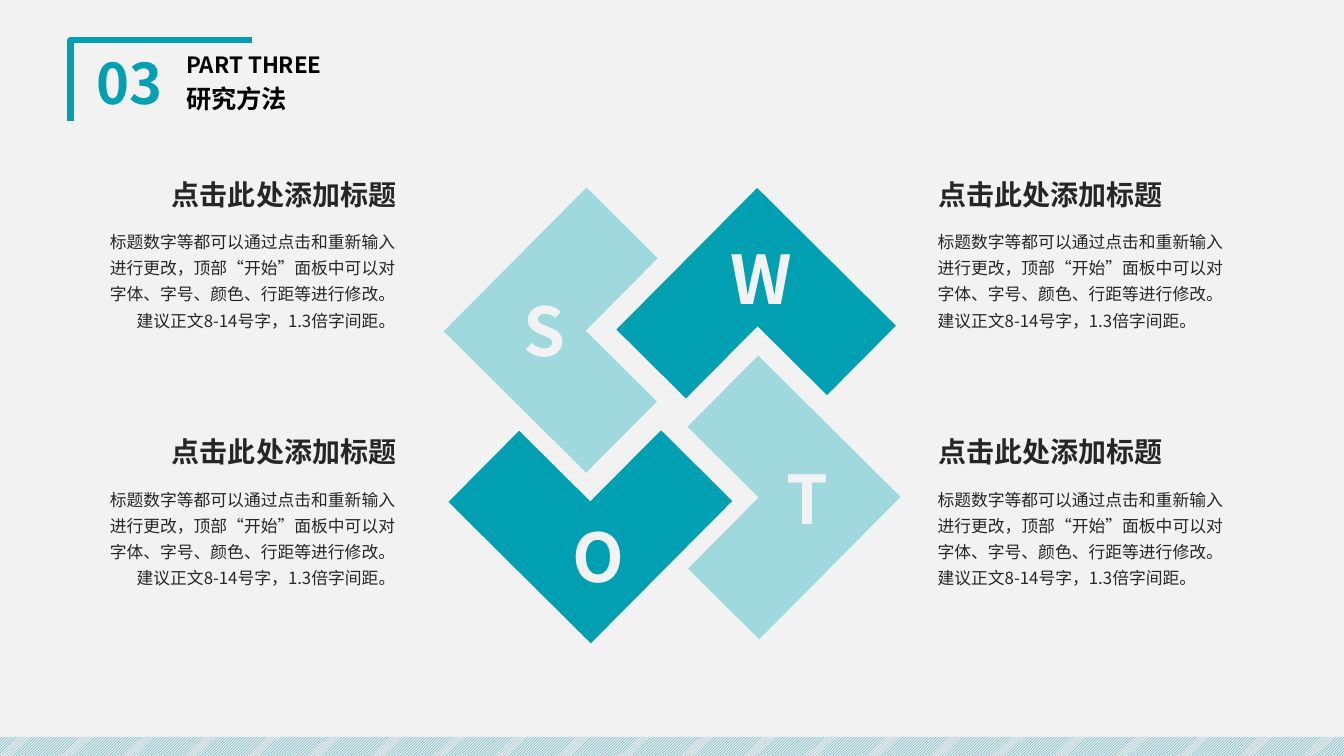
from pptx import Presentation, util as u
from pptx.dml.color import RGBColor
from pptx.enum import dml, shapes, text
from pptx.oxml.ns import qn

# Content
HEAD = "点击此处添加标题"
BODY = ("标题数字等都可以通过点击和重新输入进行更改，顶部“开始”面板中可以对"
        "字体、字号、颜色、行距等进行修改。建议正文8-14号字，1.3倍字间距。")

# Theme: colours and type sizes
THEME = dict(
    font="Noto Sans CJK SC", paper="F2F2F2", teal="009FB1", pale="9FD9DE",
    grey="E9E9E9", ink="262626", black="000000",
    num=40, part=16, name=18, mark=48, head=20, body=12)

# Layout on a grid of 133.3 columns by 75 rows: left, top, width, height
COLS, ROWS = 133.3, 75
TITLES = [("03", "num", "teal", "c", (8.2, 4.9, 9.3, 7.3)),
          ("PART THREE", "part", "black", "l", (17.5, 4.9, 26.7, 3.4)),
          ("研究方法", "name", "black", "l", (17.5, 7.8, 26.7, 4.4))]
# Letter, fill, corner box, letter box; each corner is a quarter turn on
SWOT = [("S", "pale", (48.2, 22.7, 19.9, 20.1), (50.9, 28.2, 6.1, 9.1)),
        ("W", "teal", (65.1, 22.8, 19.8, 19.4), (70.9, 23.1, 9.3, 9.1)),
        ("T", "pale", (65.3, 39.4, 19.9, 19.9), (77, 44.9, 6.2, 9.1)),
        ("O", "teal", (48.6, 39.8, 19.9, 19.9), (55.6, 50.6, 7.5, 9.1))]
TURN = 44.8
# Alignment, head left and width, body left and width
SIDES = [("r", 15.8, 24.5, 9.8, 30.4), ("l", 92.1, 24.5, 92, 30.8)]
TOP, STEP, DROP = 17.1, 25.55, 4.8

ALIGN = dict(l=text.PP_ALIGN.LEFT, c=text.PP_ALIGN.CENTER,
             r=text.PP_ALIGN.RIGHT)

deck = Presentation()
deck.slide_width, deck.slide_height = u.Inches(13.33), u.Inches(7.5)
slide = deck.slides.add_slide(deck.slide_layouts[6])
cell = deck.slide_height / ROWS


def tone(key):
    return RGBColor.from_string(THEME[key])


def place(box):
    return [round(n * cell) for n in box]


def block(kind, box, fill):
    item = slide.shapes.add_shape(kind, *place(box))
    item.shadow.inherit = False
    item.line.fill.background()
    item.fill.solid()
    item.fill.fore_color.rgb = tone(fill)
    return item


def write(words, size, color, side, box, bold=True, wrap=True, grow=True,
          lead=None, before=None):
    frame = slide.shapes.add_textbox(*place(box)).text_frame
    frame.word_wrap = wrap
    if grow:
        frame.auto_size = text.MSO_AUTO_SIZE.SHAPE_TO_FIT_TEXT
    else:
        frame.vertical_anchor = text.MSO_ANCHOR.MIDDLE
    frame.text = words
    para = frame.paragraphs[0]
    para.alignment = ALIGN[side]
    if lead:
        para.line_spacing = lead
    if before:
        para.space_before = u.Pt(before)
    font = para.runs[0].font
    font.name, font.size, font.bold = THEME["font"], u.Pt(THEME[size]), bold
    font.color.rgb = tone(color)
    # East Asian typeface
    east = font._element.makeelement(qn("a:ea"), {"typeface": THEME["font"]})
    font._element.find(qn("a:latin")).addnext(east)


# Background, corner rule and hatched foot
slide.background.fill.solid()
slide.background.fill.fore_color.rgb = tone("paper")
path = slide.shapes.build_freeform(7.2, 11.7, scale=cell)
path.add_line_segments([(7.2, 4), (24.8, 4)], close=False)
rule = path.convert_to_shape()
rule.shadow.inherit = False
rule.fill.background()
rule.line.color.rgb = tone("teal")
rule.line.width = u.Pt(4.5)

foot = block(shapes.MSO_SHAPE.RECTANGLE, (0, 73.1, COLS, ROWS - 73.1), "grey")
foot.fill.patterned()
foot.fill.pattern = dml.MSO_PATTERN.LIGHT_UPWARD_DIAGONAL
foot.fill.fore_color.rgb = tone("teal")
foot.fill.back_color.rgb = tone("grey")

# Section title
for words, size, color, side, box in TITLES:
    write(words, size, color, side, box, grow=False, lead=0.9, before=10)

# Interlocking corners, then their letters
for i, (_, fill, box, _) in enumerate(SWOT):
    block(shapes.MSO_SHAPE.CORNER, box, fill).rotation = TURN + 90 * i
for mark, _, _, box in SWOT:
    write(mark, "mark", "paper", "c", box, wrap=False)

# Four notes: two sides by two rows
for side, x, w, left, wide in SIDES:
    for row in range(2):
        y = TOP + row * STEP
        write(HEAD, "head", "ink", side, (x, y, w, 4.4), wrap=False)
        write(BODY, "body", "ink", side, (left, y + DROP, wide, 11.5),
              bold=False, lead=1.3)

deck.save("out.pptx")
